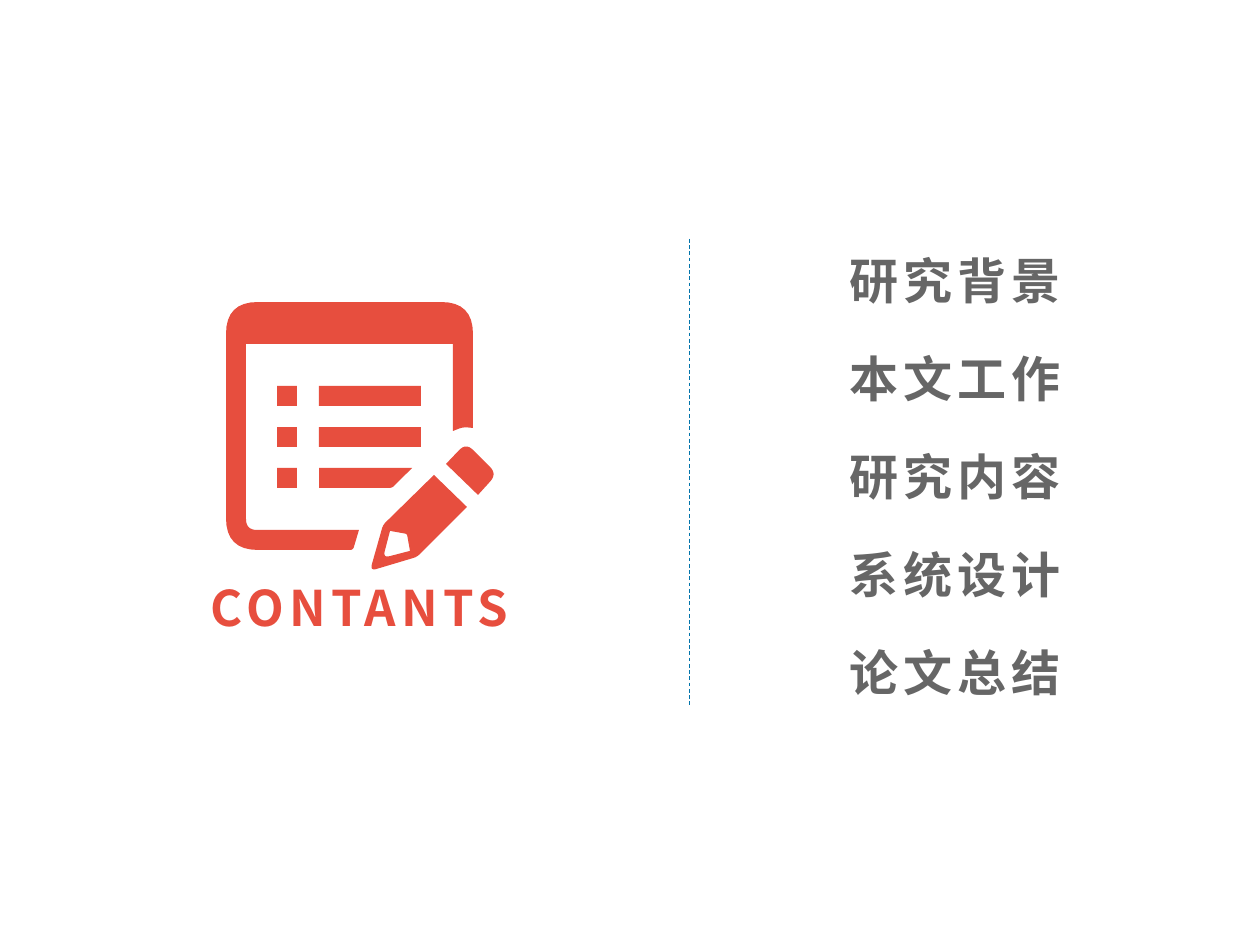
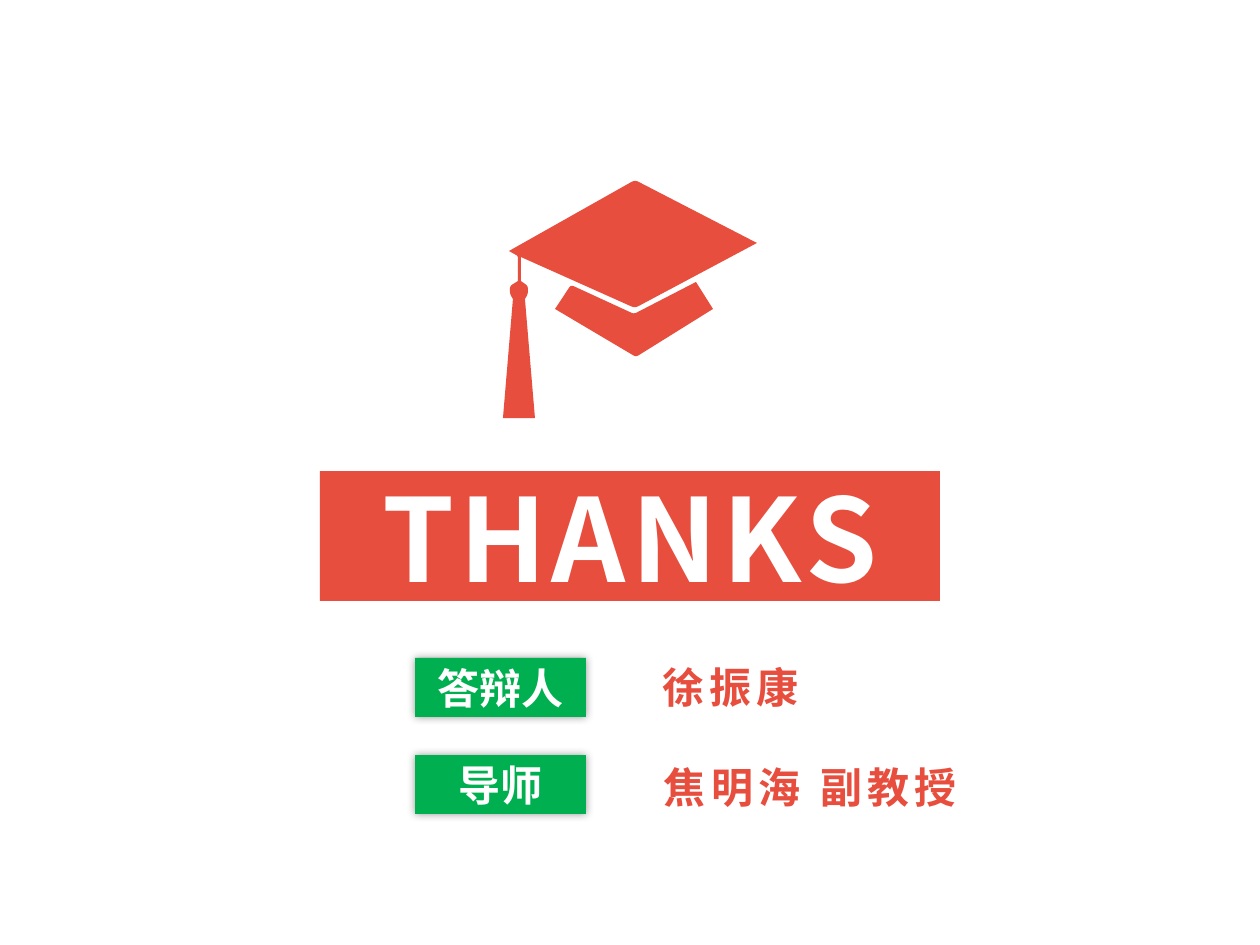
import math

from lxml import etree
from pptx import Presentation
from pptx import util as u
from pptx.dml.color import RGBColor
from pptx.enum import dml, shapes, text
from pptx.oxml import parse_xml
from pptx.oxml.ns import nsdecls, qn

PX = u.Inches(1) / 126
FONT = "Noto Sans CJK SC"
RED = RGBColor(0xE7, 0x4E, 0x3E)
GREEN = RGBColor(0x00, 0xB0, 0x50)
GREY = RGBColor(0x66, 0x66, 0x66)
BLUE = RGBColor(0x01, 0x74, 0xAB)
WHITE = RGBColor(0xFF, 0xFF, 0xFF)
LEFT, CENTER = text.PP_ALIGN.LEFT, text.PP_ALIGN.CENTER


def add_block(slide, box, words="", size=28, color=WHITE, fill=None, align=CENTER, spacing=3):
    """Add a filled rectangle, or a plain text box when there is no fill."""
    left, top, width, height = [u.Emu(round(n * PX)) for n in box]
    if fill is None:
        block = slide.shapes.add_textbox(left, top, width, height)
        block.text_frame.auto_size = text.MSO_AUTO_SIZE.SHAPE_TO_FIT_TEXT
    else:
        block = slide.shapes.add_shape(shapes.MSO_SHAPE.RECTANGLE, left, top, width, height)
        block.shadow.inherit = False
        block.fill.solid()
        block.fill.fore_color.rgb = fill
        block.line.fill.background()
        block.text_frame.vertical_anchor = text.MSO_ANCHOR.MIDDLE
    block.text_frame.word_wrap = True
    if words:
        paragraph = block.text_frame.paragraphs[0]
        paragraph.text = words
        paragraph.alignment = align
        run = paragraph.runs[0]
        run.font.name, run.font.size, run.font.bold = FONT, u.Pt(size), True
        run.font.color.rgb = color
        properties = run.font._element
        etree.SubElement(properties, qn("a:ea")).set("typeface", FONT)
        if spacing:
            properties.set("spc", str(spacing * 100))
    return block


def add_outline(slide, *contours):
    """Draw closed contours of (x, y) corners; a third number rounds the corner."""
    builder = None
    for corners in contours:
        points = []
        for i, (x, y, *radius) in enumerate(corners):
            if not radius:
                points.append((x * PX, y * PX))
                continue
            tangents = []
            for near in (corners[i - 1], corners[(i + 1) % len(corners)]):
                share = radius[0] / math.dist((x, y), near[:2])
                tangents.append((x + (near[0] - x) * share, y + (near[1] - y) * share))
            for step in range(9):
                t = step / 8
                points.append(tuple(
                    ((1 - t) ** 2 * a + 2 * t * (1 - t) * b + t ** 2 * c) * PX
                    for a, b, c in zip(tangents[0], (x, y), tangents[1])))
        if builder is None:
            builder = slide.shapes.build_freeform(*points[0], scale=1.0)
        else:
            builder.move_to(*points[0])
        builder.add_line_segments(points[1:], close=True)
    outline = builder.convert_to_shape()
    outline.shadow.inherit = False
    outline.fill.solid()
    outline.fill.fore_color.rgb = RED
    outline.line.fill.background()


deck = Presentation()
deck.slide_width, deck.slide_height = u.Inches(10), u.Inches(7.5)
blank = deck.slide_layouts[6]

# Contents
contents = deck.slides.add_slide(blank)
divider = contents.shapes.add_connector(
    shapes.MSO_CONNECTOR.STRAIGHT, *[u.Emu(round(n * PX)) for n in (689, 239, 689, 706)])
divider.line.color.rgb = BLUE
divider.line.width = u.Pt(0.5)
divider.line.dash_style = dml.MSO_LINE.DASH
etree.SubElement(divider._element.spPr, qn("a:effectLst"))

chapters = ["研究背景", "本文工作", "研究内容", "系统设计", "论文总结"]
for row, chapter in enumerate(chapters):
    add_block(contents, (837, 244 + 98 * row, 247, 72), chapter, color=GREY, align=LEFT)

# Notepad with pencil
add_outline(contents, [
    (359, 530), (353, 550, 3), (226, 550, 32), (226, 302, 32), (473, 302, 32),
    (473, 428), (463, 427, 5), (453, 431), (453, 344), (246, 344), (246, 530, 11)])
add_outline(
    contents,
    [(434, 475), (467, 507), (417, 557, 4), (370, 571, 7), (383, 525, 4)],
    [(390, 531), (407, 534, 2), (410, 551), (383, 558, 7)])
add_outline(contents, [(446, 464), (466, 443, 10), (497, 474, 10), (478, 495)])
for row in range(3):
    add_block(contents, (277, 386 + 41 * row, 20, 20), fill=RED)
for row in range(2):
    add_block(contents, (319, 386 + 41 * row, 102, 20), fill=RED)
add_outline(contents, [(319, 468), (412, 468), (392, 488, 3), (319, 488)])
add_block(contents, (176, 571, 367, 72), "CONTANTS", color=RED)

# Thanks
thanks = deck.slides.add_slide(blank)
add_block(thanks, (320, 471, 620, 130), "THANKS", size=66, fill=RED)

# Graduation cap: board with tassel, then the band below it
add_outline(thanks, [
    (521, 257), (635, 308, 4), (757, 243), (635, 180, 4), (509, 251), (518, 256, 2),
    (518, 281), (510, 286, 3), (510, 294, 3), (513, 299), (503, 418), (535, 418),
    (525, 299), (528, 294, 3), (528, 286, 3), (521, 281)])
add_outline(thanks, [
    (555, 309), (571, 285, 3), (634, 314, 3), (696, 282), (713, 309), (636, 357, 3)])

people = [
    ("答辩人", 658, "徐振康", (616, 655, 229, 63)),
    ("导师", 755, "焦明海 副教授", (634, 755, 353, 63)),
]
for role, top, person, person_box in people:
    label = add_block(thanks, (415, top, 171, 59), role, size=24, fill=GREEN, spacing=0)
    label._element.spPr.find(qn("a:effectLst")).append(parse_xml(
        f'<a:outerShdw {nsdecls("a")} blurRad="{u.Pt(5)}" dist="0" dir="0" algn="ctr" '
        'rotWithShape="0"><a:srgbClr val="000000"><a:alpha val="40000"/></a:srgbClr>'
        '</a:outerShdw>'))
    add_block(thanks, person_box, person, size=24, color=RED)

deck.save("out.pptx")
